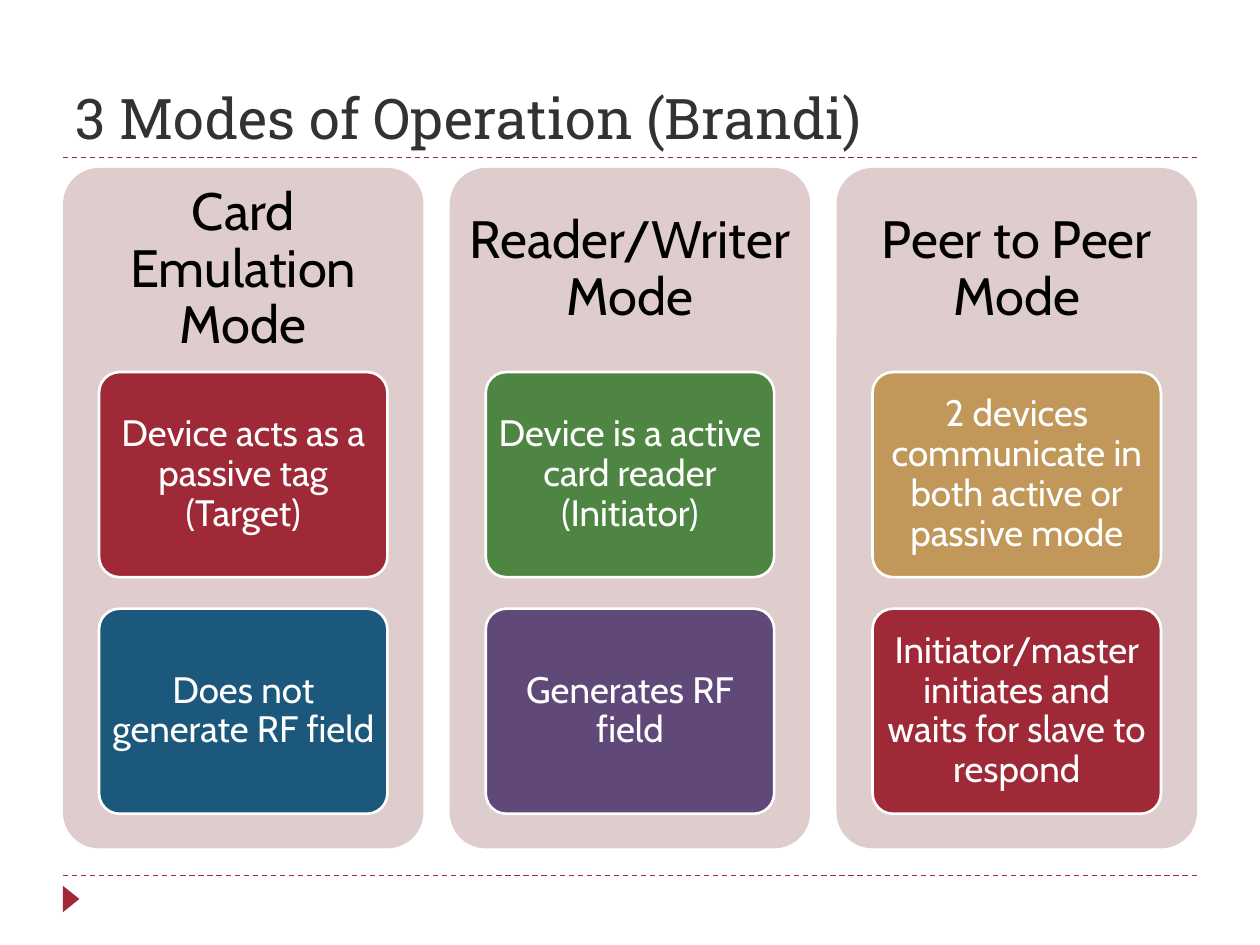
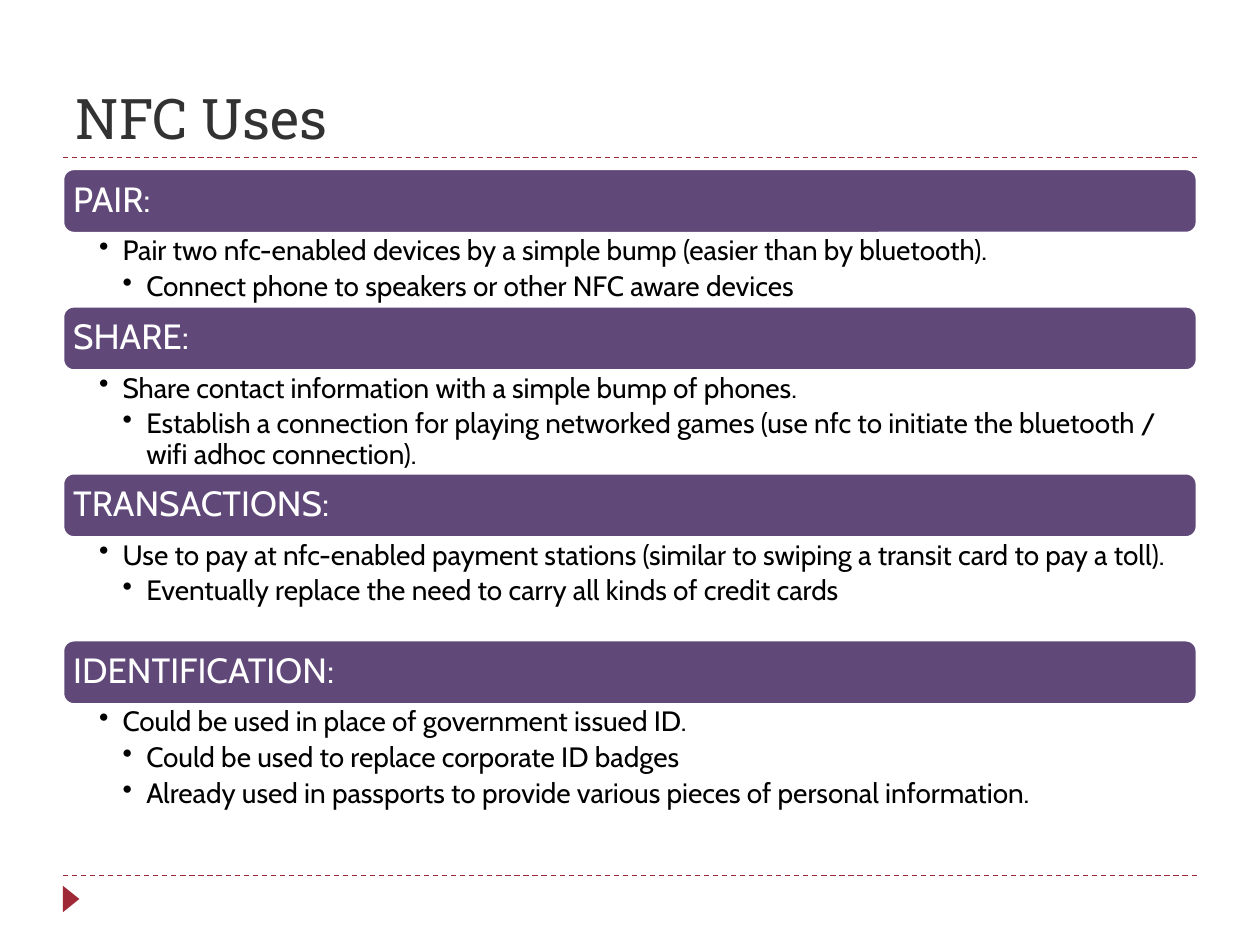
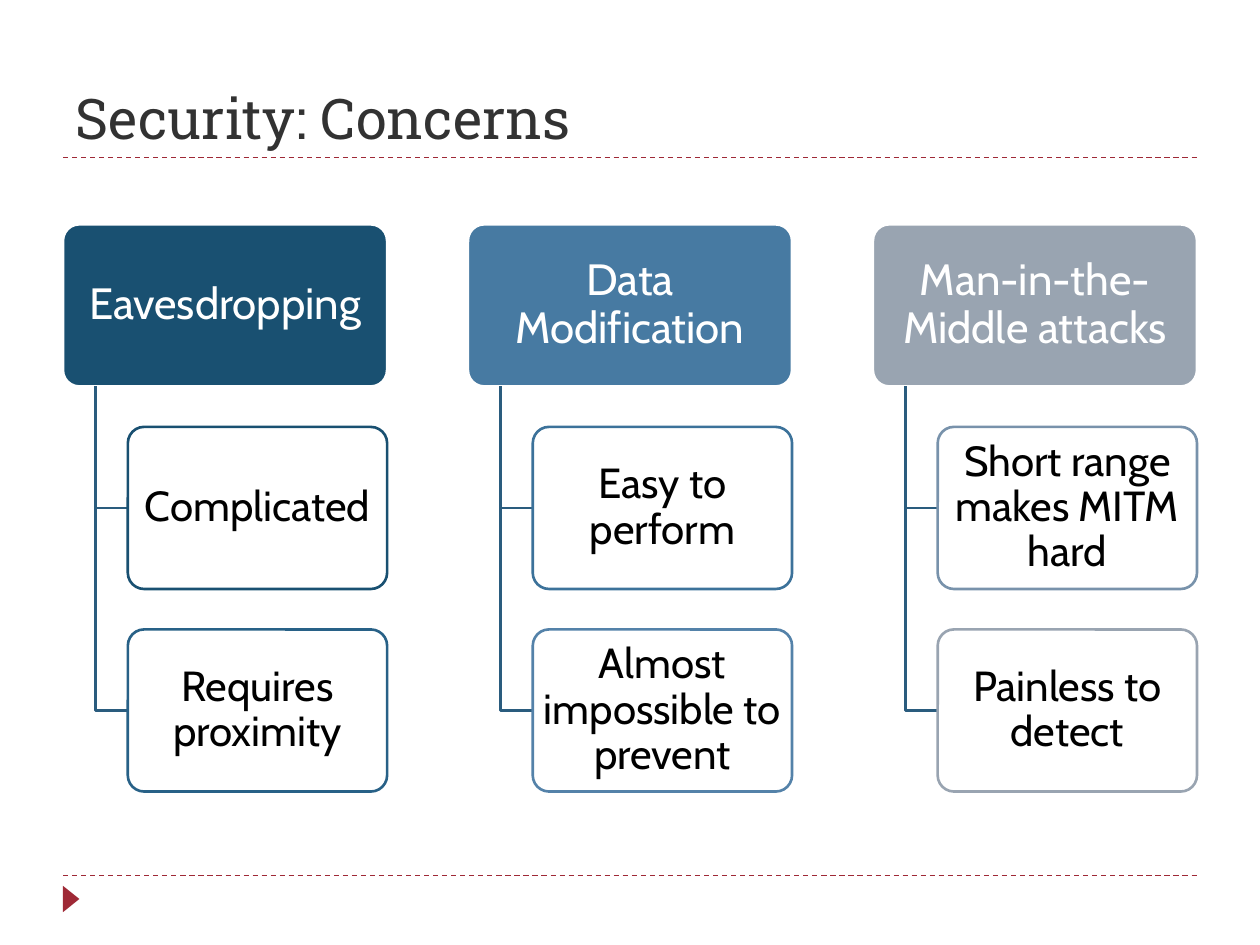
"""Build three slides on NFC: operating modes, uses and security concerns."""

import lxml.etree
import pptx
import pptx.dml.color
import pptx.enum.dml
import pptx.enum.shapes
import pptx.enum.text
import pptx.oxml.ns
import pptx.util

Pt = pptx.util.Pt
RGBColor = pptx.dml.color.RGBColor
Shape = pptx.enum.shapes.MSO_SHAPE
Anchor = pptx.enum.text.MSO_ANCHOR
Align = pptx.enum.text.PP_ALIGN

RED = RGBColor(0x9F, 0x29, 0x36)
BLUE = RGBColor(0x1B, 0x58, 0x7C)
GREEN = RGBColor(0x4E, 0x85, 0x42)
PURPLE = RGBColor(0x60, 0x48, 0x78)
GOLD = RGBColor(0xC1, 0x98, 0x59)
ROSE = RGBColor(0xDF, 0xCD, 0xCE)
CHARCOAL = RGBColor(0x32, 0x32, 0x32)
WHITE = RGBColor(0xFF, 0xFF, 0xFF)
BLACK = RGBColor(0x00, 0x00, 0x00)
BRANCH_BLUE = RGBColor(0x2A, 0x5C, 0x7E)
NAVY = RGBColor(0x19, 0x50, 0x71)
DEEP_BLUE = RGBColor(0x28, 0x61, 0x87)
MID_BLUE = RGBColor(0x3C, 0x72, 0x9A)
STEEL_BLUE = RGBColor(0x47, 0x7A, 0xA2)
SOFT_BLUE = RGBColor(0x54, 0x82, 0xA9)
DUSTY_BLUE = RGBColor(0x78, 0x92, 0xAB)
SLATE = RGBColor(0x99, 0xA4, 0xB1)

TITLE_FONT = "Roboto Slab"
BODY_FONT = "Cabin"
LEFT = 36
WIDTH = 648

MODES = [
    ("Card Emulation Mode", [
        ("Device acts as a passive tag (Target)", RED),
        ("Does not generate RF field", BLUE)]),
    ("Reader/Writer Mode", [
        ("Device is a active card reader (Initiator)", GREEN),
        ("Generates RF field", PURPLE)]),
    ("Peer to Peer Mode", [
        ("2 devices communicate in both active or passive mode", GOLD),
        ("Initiator/master initiates and waits for slave to respond", RED)]),
]

USES = [
    ("PAIR:", 41.8, [
        "Pair two nfc-enabled devices by a simple bump (easier than by bluetooth).",
        "Connect phone to speakers or other NFC aware devices"]),
    ("SHARE:", 58.7, [
        "Share contact information with a simple bump of phones.",
        "Establish a connection for playing networked games "
        "(use nfc to initiate the bluetooth / wifi adhoc connection)."]),
    ("TRANSACTIONS:", 58.7, [
        "Use to pay at nfc-enabled payment stations "
        "(similar to swiping a transit card to pay a toll).",
        "Eventually replace the need to carry all kinds of credit cards"]),
    ("IDENTIFICATION:", 81.4, [
        "Could be used in place of government issued ID.",
        "Could be used to replace corporate ID badges",
        "Already used in passports to provide various pieces of personal information."]),
]

CONCERNS = [
    ("Eavesdropping", NAVY, [
        ("Complicated", NAVY), ("Requires proximity", DEEP_BLUE)]),
    ("Data Modification", STEEL_BLUE, [
        ("Easy to perform", MID_BLUE), ("Almost impossible to prevent", SOFT_BLUE)]),
    ("Man-in-the-Middle attacks", SLATE, [
        ("Short range makes MITM hard", DUSTY_BLUE), ("Painless to detect", SLATE)]),
]


class Deck:
    """Hold the shared style and the slide being drawn."""

    def __init__(self):
        self.deck = pptx.Presentation()
        self.deck.slide_width = Pt(720)
        self.deck.slide_height = Pt(540)
        self.page = None

    def add_page(self, title):
        """Start a slide with its title, dashed rules and corner marker."""
        self.page = self.deck.slides.add_slide(self.deck.slide_layouts[5])
        box = self.page.shapes.title
        box.left, box.top, box.width, box.height = Pt(LEFT), Pt(12), Pt(WIDTH), Pt(78)
        box.text_frame.text = title
        box.text_frame.auto_size = pptx.enum.text.MSO_AUTO_SIZE.NONE
        box.text_frame.vertical_anchor = Anchor.BOTTOM
        para = box.text_frame.paragraphs[0]
        para.alignment = Align.LEFT
        self.format_runs(para, 32, CHARCOAL, TITLE_FONT)
        for y in (90, 500.4):
            self.add_rule(y)
        marker = self.add_shape(Shape.ISOSCELES_TRIANGLE, 33.1, 509, 15.1, 9.4, RED)
        marker.rotation = 90

    def add_rule(self, y):
        """Draw a dashed line across the content width."""
        rule = self.page.shapes.add_connector(
            pptx.enum.shapes.MSO_CONNECTOR.STRAIGHT, Pt(LEFT), Pt(y), Pt(LEFT + WIDTH), Pt(y))
        rule.line.color.rgb = RED
        rule.line.width = Pt(0.75)
        rule.line.dash_style = pptx.enum.dml.MSO_LINE.DASH
        properties = rule.element.find(pptx.oxml.ns.qn("p:spPr"))
        lxml.etree.SubElement(properties, pptx.oxml.ns.qn("a:effectLst"))

    def add_shape(self, kind, left, top, width, height, fill, line=None):
        """Draw a filled preset shape, outlined when a line colour is given."""
        shape = self.page.shapes.add_shape(kind, Pt(left), Pt(top), Pt(width), Pt(height))
        shape.shadow.inherit = False
        shape.fill.solid()
        shape.fill.fore_color.rgb = fill
        if line is None:
            shape.line.fill.background()
        else:
            shape.line.color.rgb = line
            shape.line.width = Pt(1.5)
        return shape

    def add_panel(self, left, top, width, height, fill, line=None, rounding=0.1):
        """Draw a rounded rectangle."""
        panel = self.add_shape(Shape.ROUNDED_RECTANGLE, left, top, width, height, fill, line)
        panel.adjustments[0] = rounding
        return panel

    def add_textbox(self, left, top, width, height):
        """Place an empty text box."""
        return self.page.shapes.add_textbox(Pt(left), Pt(top), Pt(width), Pt(height))

    def add_branch(self, left, top, width, height):
        """Draw an elbow line down and then right."""
        builder = self.page.shapes.build_freeform(Pt(left), Pt(top))
        builder.add_line_segments(
            [(Pt(left), Pt(top + height)), (Pt(left + width), Pt(top + height))], close=False)
        branch = builder.convert_to_shape()
        branch.shadow.inherit = False
        branch.fill.background()
        branch.line.color.rgb = BRANCH_BLUE
        branch.line.width = Pt(1.5)

    def format_runs(self, para, size, color, font=BODY_FONT):
        """Set the font of every run in a paragraph."""
        for span in para.runs:
            span.font.name = font
            span.font.size = Pt(size)
            span.font.color.rgb = color

    def set_margins(self, frame, left, top, right, bottom):
        """Wrap the text and set its insets."""
        frame.word_wrap = True
        frame.margin_left, frame.margin_right = Pt(left), Pt(right)
        frame.margin_top, frame.margin_bottom = Pt(top), Pt(bottom)

    def set_label(self, box, text, size, color, inset, align=Align.CENTER):
        """Put one paragraph, centred vertically, in a box."""
        frame = box.text_frame
        self.set_margins(frame, inset, inset, inset, inset)
        frame.vertical_anchor = Anchor.MIDDLE
        frame.text = text
        para = frame.paragraphs[0]
        para.alignment = align
        para.line_spacing = 0.9
        self.format_runs(para, size, color)

    def set_bullets(self, box, lines):
        """Put a lead bullet followed by deeper bullets in a box."""
        frame = box.text_frame
        self.set_margins(frame, 20.6, 2, 11.4, 2)
        frame.text = "\n".join(lines)
        for index, para in enumerate(frame.paragraphs):
            para.level = min(index + 1, 2)
            para.line_spacing = 0.9
            para.space_after = Pt(3.2)
            self.format_runs(para, 16, BLACK)
            properties = para._p.get_or_add_pPr()
            properties.set("marL", str(Pt(13.5 * para.level)))
            properties.set("indent", str(Pt(-13.5)))
            bullet = lxml.etree.SubElement(properties, pptx.oxml.ns.qn("a:buChar"))
            bullet.set("char", "•")


def build_modes(deck):
    """Draw one card per mode with two tiles in each."""
    deck.add_page("3 Modes of Operation (Brandi)")
    width, pitch = 206, 221
    for column, (heading, tiles) in enumerate(MODES):
        left = LEFT + column * pitch
        deck.add_panel(left, 96, width, 388.8, ROSE)
        deck.set_label(deck.add_textbox(left, 96, width, 116.6), heading, 30, BLACK, 8.6)
        for row, (text, color) in enumerate(tiles):
            tile = deck.add_panel(
                left + width * 0.1, 212.6 + row * 135.2, width * 0.8, 117.2, color, WHITE)
            deck.set_label(tile, text, 21, WHITE, 1)


def build_uses(deck):
    """Stack a bar and its bullets for each use."""
    deck.add_page("NFC Uses")
    top, bar_height = 96.5, 36.7
    for heading, body_height, lines in USES:
        bar = deck.add_panel(LEFT, top, WIDTH, bar_height, PURPLE, WHITE, 0.17)
        deck.set_label(bar, heading, 20, WHITE, 4, Align.LEFT)
        top += bar_height
        deck.set_bullets(deck.add_textbox(LEFT, top, WIDTH, body_height), lines)
        top += body_height


def build_concerns(deck):
    """Draw a small tree for each concern."""
    deck.add_page("Security: Concerns")
    width, height, pitch, top = 185.2, 92.6, 231.4, 128.2
    step = height * 1.25
    for column, (heading, color, findings) in enumerate(CONCERNS):
        left = LEFT + column * pitch
        head = deck.add_panel(left, top, width, height, color, WHITE)
        deck.set_label(head, heading, 25, WHITE, 1)
        for row, (text, outline) in enumerate(findings, 1):
            child_top = top + row * step
            trunk_top = top + height
            deck.add_branch(
                left + width * 0.1, trunk_top, width * 0.1, child_top + height / 2 - trunk_top)
            child = deck.add_panel(
                left + width * 0.2, child_top, width * 0.8, height, WHITE, outline)
            deck.set_label(child, text, 24, BLACK, 1)


def main():
    """Build the slides and save the file."""
    deck = Deck()
    build_modes(deck)
    build_uses(deck)
    build_concerns(deck)
    deck.deck.save("out.pptx")


if __name__ == "__main__":
    main()
